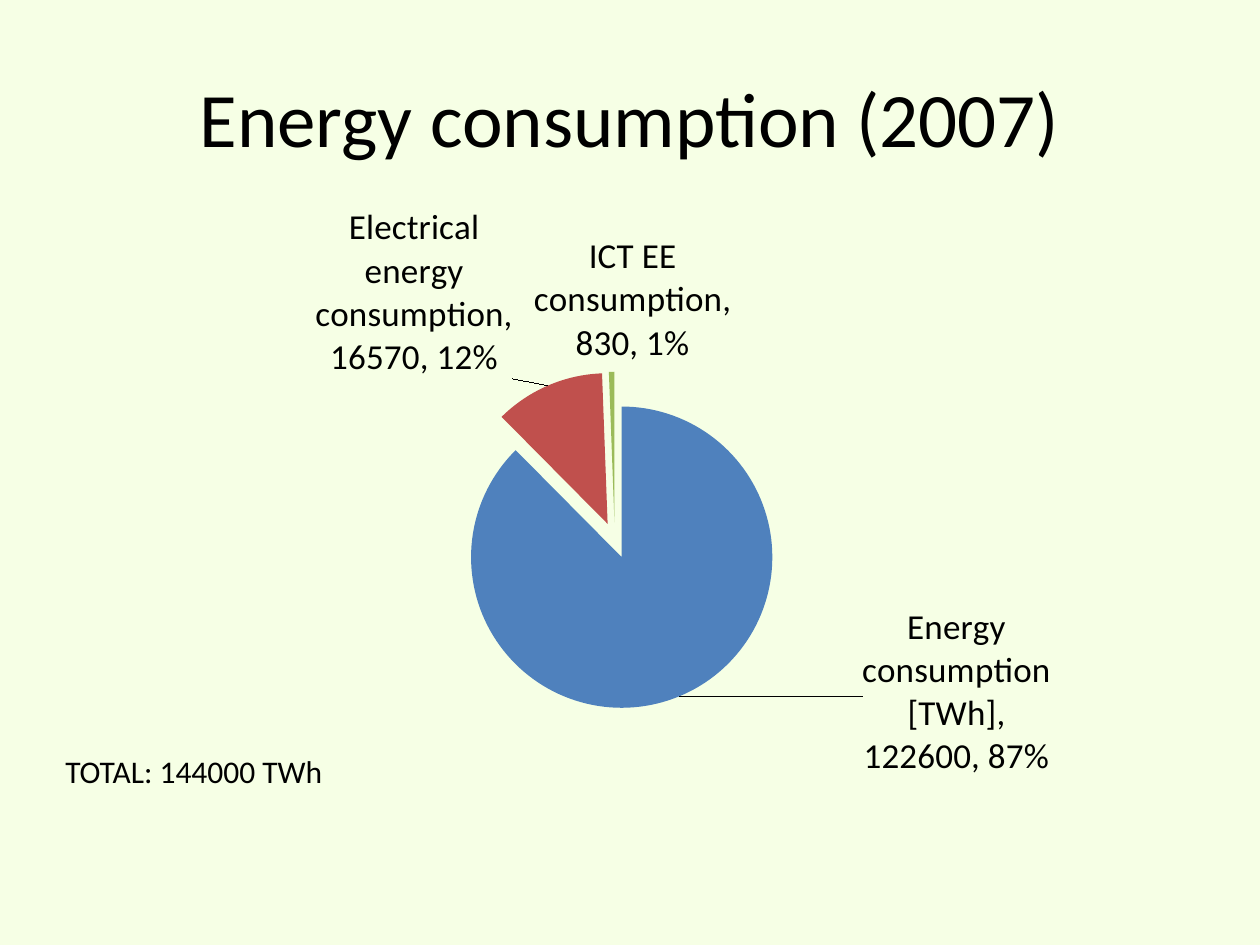
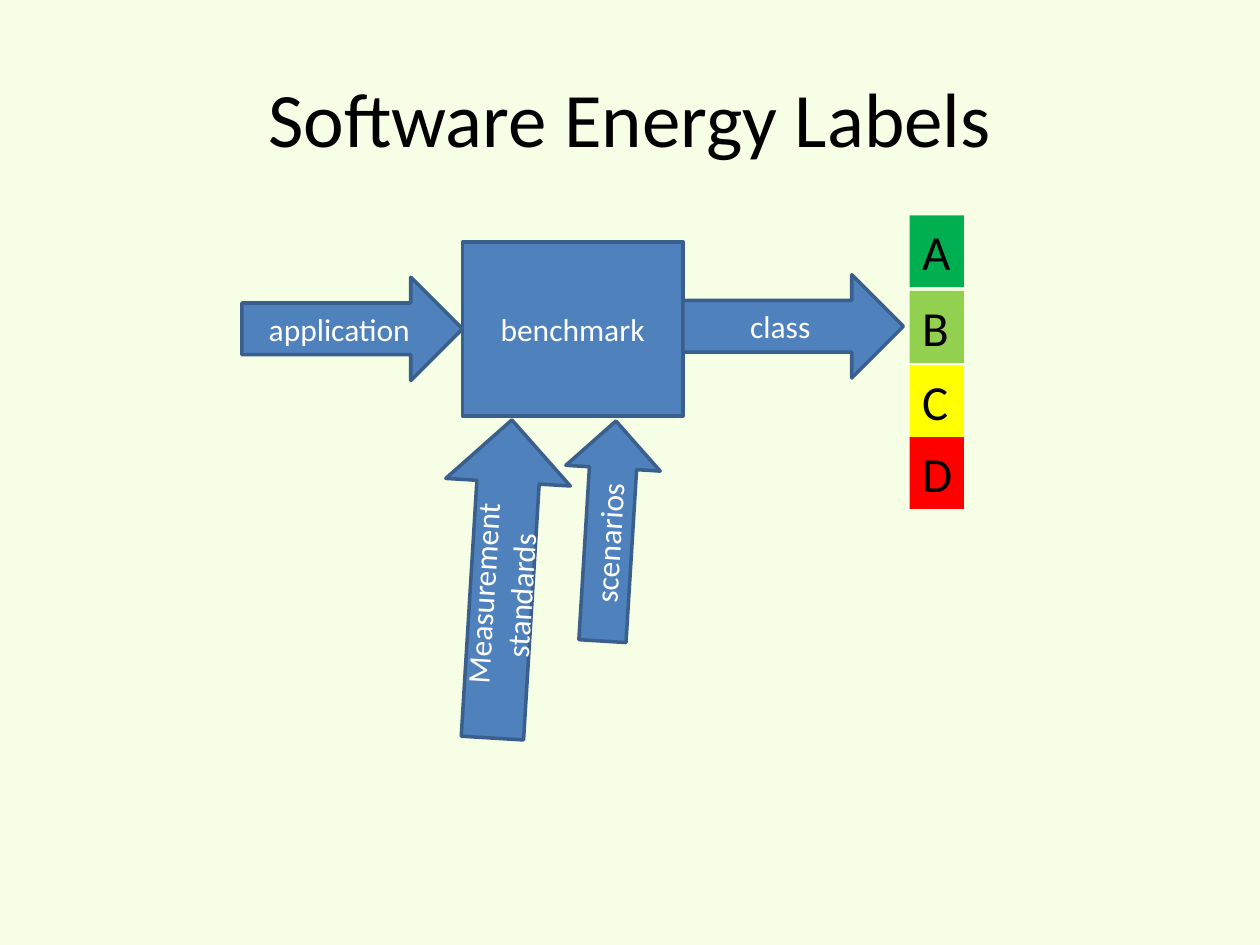
"""Build two slides on energy consumption and software energy labels."""
from dataclasses import dataclass

from lxml.etree import SubElement
from pptx import Presentation
from pptx.chart.data import CategoryChartData
from pptx.dml.color import RGBColor
from pptx.enum.chart import XL_CHART_TYPE as Chart, XL_LABEL_POSITION as LabelPos
from pptx.enum.shapes import MSO_SHAPE as Shape
from pptx.enum.text import MSO_ANCHOR as Anchor, MSO_AUTO_SIZE as AutoSize, PP_ALIGN as Align
from pptx.oxml import parse_xml
from pptx.oxml.ns import nsdecls, qn
from pptx.util import Inches, Pt

FONT = "Calibri"
BACKGROUND, BLACK, WHITE = "F6FFE5", "000000", "FFFFFF"
BLUE, OUTLINE = "4F81BD", "3A5F8C"
LABEL_SIZE = 20


@dataclass(frozen=True)
class Slice:
    name: str
    value: int
    color: str
    label_dx: float
    label_dy: float
    label: str = ""


@dataclass(frozen=True)
class Block:
    text: str
    left: float
    top: float
    width: float
    height: float
    kind: Shape = Shape.RIGHT_ARROW
    rotation: float = 0


@dataclass(frozen=True)
class Grade:
    letter: str
    top: float
    color: str


SLICES = [
    Slice("Energy consumption [TWh]", 122600, BLUE, 0.17, -0.14,
          "Energy consumption [TWh], 122600, 87%"),
    Slice("Electrical energy consumption", 16570, "C0504D", -0.03, 0),
    Slice("ICT EE consumption", 830, "9BBB59", 0.02, 0),
]
INPUTS = [
    Block("scenarios", 3.96, 3.84, 1.75, 0.75, rotation=273.5),
    Block("Measurement standards", 2.72, 4.1, 2.53, 0.99, rotation=273.5),
]
FLOW = [
    Block("benchmark", 3.67, 1.92, 1.75, 1.38, Shape.RECTANGLE),
    Block("application", 1.92, 2.2, 1.75, 0.82),
    Block("class", 5.42, 2.18, 1.75, 0.82),
]
GRADES = [
    Grade("A", 1.71, "00B050"),
    Grade("B", 2.31, "92D050"),
    Grade("C", 2.9, "FFFF00"),
    Grade("D", 3.47, "FF0000"),
]


def rgb(value: str) -> RGBColor:
    return RGBColor.from_string(value)


def box(left: float, top: float, width: float, height: float) -> tuple:
    return Inches(left), Inches(top), Inches(width), Inches(height)


def format_font(font, size: float, color: str = BLACK) -> None:
    font.name, font.size = FONT, Pt(size)
    font.color.rgb = rgb(color)


def write(sp, text: str, *, size: float = 18, color: str = BLACK, align=Align.LEFT,
          anchor=Anchor.TOP, wrap: bool = True, grow: bool = False) -> None:
    tf = sp.text_frame
    tf.word_wrap, tf.vertical_anchor = wrap, anchor
    if grow:
        tf.auto_size = AutoSize.SHAPE_TO_FIT_TEXT
    p = tf.paragraphs[0]
    p.alignment = align
    r = p.add_run()
    r.text = text
    format_font(r.font, size, color)


def add_slide(prs, title: str):
    s = prs.slides.add_slide(prs.slide_layouts[5])
    sp = s.shapes.title
    sp.left, sp.top, sp.width, sp.height = box(0.5, 0.3, 9, 1.25)
    write(sp, title, size=44, align=Align.CENTER, anchor=Anchor.MIDDLE)
    return s


def add_filled(shapes, kind: Shape, place: tuple, color: str):
    sp = shapes.add_shape(kind, *place)
    sp.shadow.inherit = False
    sp.fill.solid()
    sp.fill.fore_color.rgb = rgb(color)
    sp.line.fill.background()
    return sp


def add_block(s, block: Block) -> None:
    place = box(block.left, block.top, block.width, block.height)
    sp = add_filled(s.shapes, block.kind, place, BLUE)
    sp.line.color.rgb, sp.line.width = rgb(OUTLINE), Pt(2)
    sp.rotation = block.rotation
    write(sp, block.text, color=WHITE, align=Align.CENTER, anchor=Anchor.MIDDLE)


def manual_layout(inner: bool = False, **values: float):
    target = '<c:layoutTarget val="inner"/><c:xMode val="edge"/><c:yMode val="edge"/>' if inner else ""
    parts = "".join(f'<c:{key} val="{value}"/>' for key, value in values.items())
    return parse_xml(f'<c:layout {nsdecls("c")}><c:manualLayout>{target}{parts}'
                     "</c:manualLayout></c:layout>")


def place_label(dlbl, item: Slice) -> None:
    dlbl.find(qn("c:idx")).addnext(manual_layout(x=item.label_dx, y=item.label_dy))
    for tag in ("c:showVal", "c:showCatName", "c:showPercent"):
        dlbl.find(qn(tag)).set("val", "1")
    SubElement(dlbl, qn("c:separator")).text = ", "


def format_slice(point, item: Slice) -> None:
    point.format.fill.solid()
    point.format.fill.fore_color.rgb = rgb(item.color)
    label = point.data_label
    if item.label:
        write(label, item.label, size=LABEL_SIZE, align=Align.CENTER)
    else:
        format_font(label.font, LABEL_SIZE)
    label.position = LabelPos.OUTSIDE_END


def add_pie(s) -> None:
    data = CategoryChartData()
    data.categories = [item.name for item in SLICES]
    data.add_series("Series 1", [item.value for item in SLICES])
    chart = s.shapes.add_chart(Chart.PIE, *box(0.67, 1.5, 8.42, 5.58), data).chart
    chart.has_legend = chart.has_title = False
    format_font(chart.font, 10)
    plot = chart.plots[0]
    plot.vary_by_categories = True
    series = plot.series[0]
    labels = series.data_labels
    labels.show_value = labels.show_category_name = labels.show_percentage = True
    format_font(labels.font, LABEL_SIZE)
    for i, item in enumerate(SLICES):
        format_slice(series.points[i], item)
    ser = series._element
    for dlbl, item in zip(ser.findall(".//" + qn("c:dLbl")), SLICES):
        place_label(dlbl, item)
    ser.find(qn("c:dPt")).addprevious(parse_xml(f'<c:explosion {nsdecls("c")} val="12"/>'))
    area = chart._chartSpace.find(".//" + qn("c:plotArea"))
    for old in area.findall(qn("c:layout")):
        area.remove(old)
    area.insert(0, manual_layout(inner=True, x=0.34, y=0.26, w=0.32, h=0.48))


def build_consumption(prs) -> None:
    s = add_slide(prs, "Energy consumption (2007)")
    add_pie(s)
    sp = s.shapes.add_textbox(*box(0.42, 5.92, 2.26, 0.4))
    write(sp, "TOTAL: 144000 TWh", wrap=False, grow=True)


def build_labels(prs) -> None:
    s = add_slide(prs, "Software Energy Labels")
    for block in INPUTS:
        add_block(s, block)
    group = s.shapes.add_group_shape()
    for grade in GRADES:
        place = box(7.22, grade.top, 0.43, 0.57)
        sp = add_filled(group.shapes, Shape.RECTANGLE, place, grade.color)
        write(sp, grade.letter, size=28, wrap=False, grow=True)
    for block in FLOW:
        add_block(s, block)


def main() -> None:
    prs = Presentation()
    prs.slide_width, prs.slide_height = Inches(10), Inches(7.5)
    fill = prs.slide_master.background.fill
    fill.solid()
    fill.fore_color.rgb = rgb(BACKGROUND)
    build_consumption(prs)
    build_labels(prs)
    prs.save("out.pptx")


if __name__ == "__main__":
    main()
